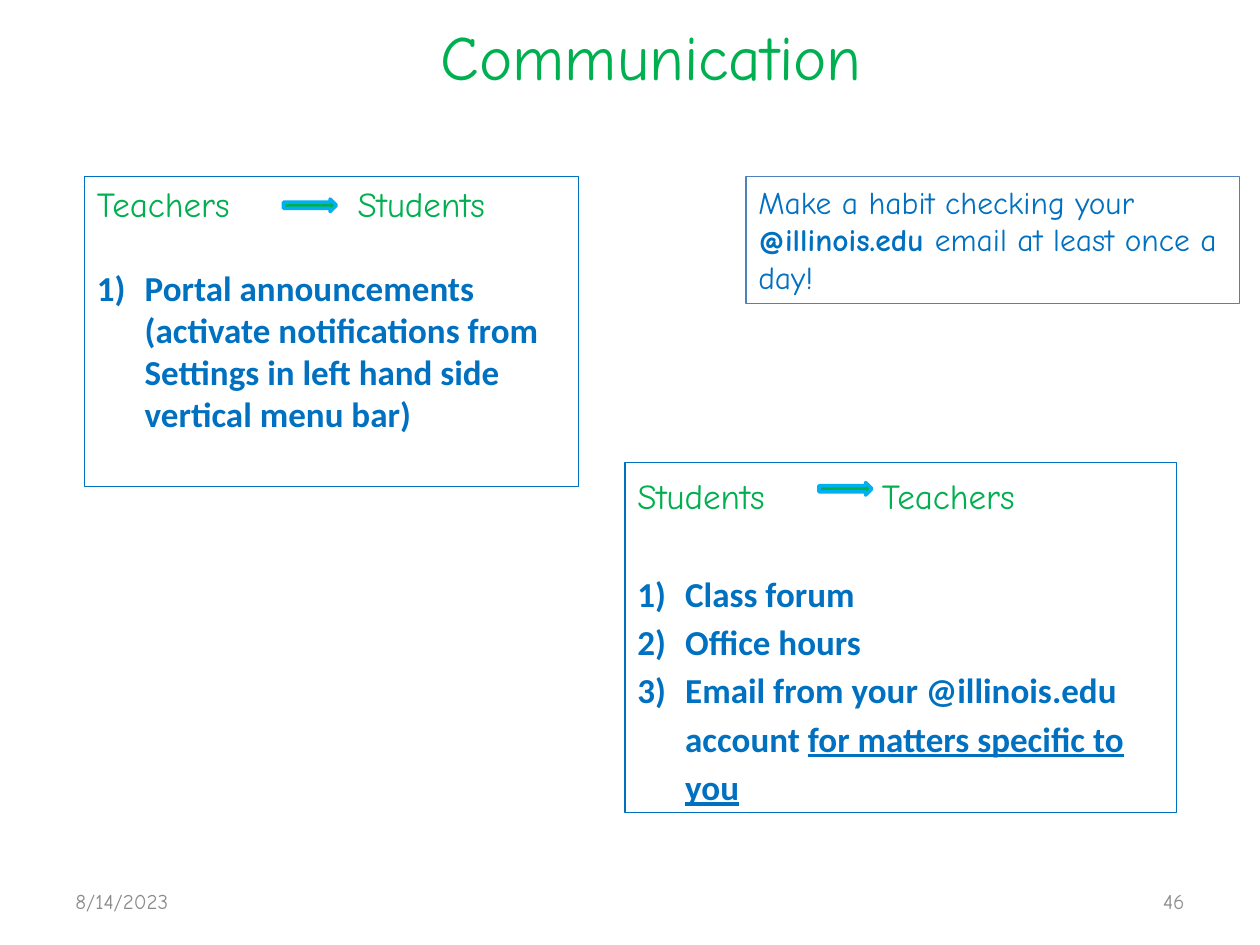
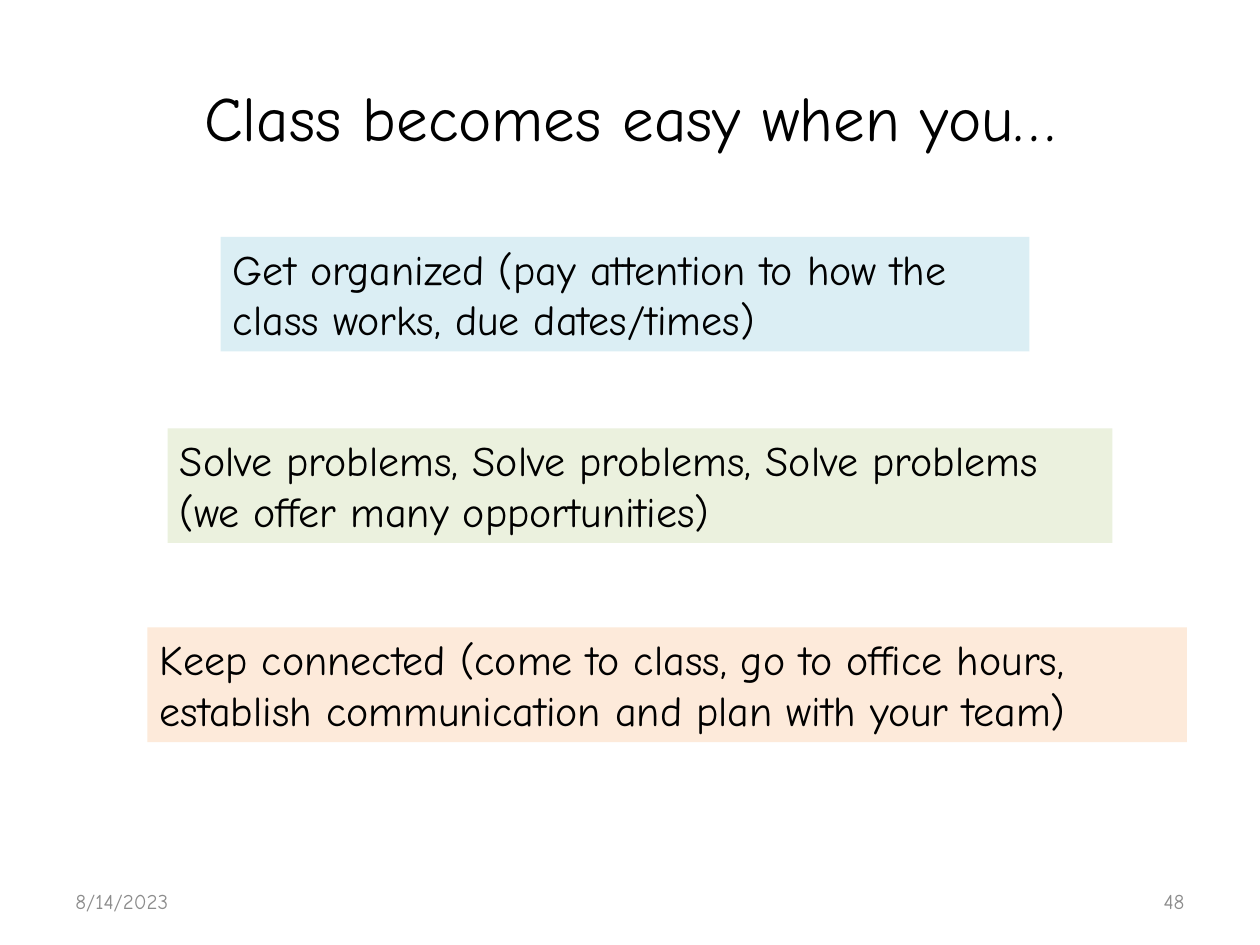
"""Build two course slides: communication channels and habits for an easy class."""
from dataclasses import dataclass
from typing import Optional

from lxml.etree import SubElement
from pptx import Presentation
from pptx.dml.color import RGBColor
from pptx.enum.shapes import MSO_SHAPE as Shape
from pptx.enum.text import MSO_ANCHOR as Anchor, MSO_AUTO_SIZE as AutoSize, PP_ALIGN as Align
from pptx.oxml.ns import qn
from pptx.util import Inches, Pt

COLORS = {
    "green": "00B050",
    "blue": "0070C0",
    "sky": "00B0F0",
    "steel": "4F81BD",
    "gray": "8C8C8C",
    "black": "000000",
    "pale_blue": "DBEEF4",
    "pale_green": "EBF1DE",
    "pale_orange": "FDEADA",
}
HAND, PLAIN = "Comic Neue", "Calibri"
DATE = "8/14/2023"
TITLE_LAYOUT = 5

FORMATS = {
    "heading": {"name": HAND, "size": Pt(20)},
    "item": {"name": PLAIN, "size": Pt(20), "bold": True},
    "underlined": {"name": PLAIN, "size": Pt(20), "bold": True, "underline": True},
    "reminder": {"name": HAND, "size": Pt(18)},
    "strong": {"name": HAND, "size": Pt(18), "bold": True},
    "habit": {"name": HAND, "size": Pt(24)},
    "title": {"name": HAND, "size": Pt(36)},
    "footer": {"name": HAND, "size": Pt(12)},
}


@dataclass(frozen=True)
class Area:
    left: float
    top: float
    width: float
    height: float

    def lengths(self) -> tuple:
        return tuple(Inches(n) for n in (self.left, self.top, self.width, self.height))


@dataclass(frozen=True)
class Span:
    text: str
    format: str
    color: str


@dataclass(frozen=True)
class Channel:
    area: Area
    arrow: Area
    sender: str
    receiver: str
    tab: float
    items: tuple
    line_spacing: float
    list_gap: float


@dataclass(frozen=True)
class Habit:
    area: Area
    fill: str
    text: str


CHANNELS = (
    Channel(
        Area(0.67, 1.4, 3.92, 2.46), Area(2.25, 1.58, 0.42, 0.1),
        "Teachers", "Students", 2.07,
        ((Span("Portal announcements (activate notifications from Settings in "
               "left hand side vertical menu bar)", "item", "blue"),),),
        1.0, 24,
    ),
    Channel(
        Area(4.96, 3.67, 4.38, 2.78), Area(6.5, 3.83, 0.42, 0.1),
        "Students", "Teachers", 1.94,
        (
            (Span("Class forum", "item", "blue"),),
            (Span("Office hours", "item", "blue"),),
            (Span("Email from your @illinois.edu account ", "item", "blue"),
             Span("for matters specific to you", "underlined", "blue")),
        ),
        1.15, 28,
    ),
)
REMINDER = (
    Span("Make a habit checking your ", "reminder", "blue"),
    Span("@illinois.edu ", "strong", "blue"),
    Span("email at least once a day!", "reminder", "blue"),
)
HABITS = (
    Habit(Area(1.75, 1.88, 6.42, 0.91), "pale_blue",
          "Get organized (pay attention to how the class works, due dates/times)"),
    Habit(Area(1.33, 3.4, 7.5, 0.91), "pale_green",
          "Solve problems, Solve problems, Solve problems (we offer many opportunities)"),
    Habit(Area(1.17, 4.98, 8.25, 0.91), "pale_orange",
          "Keep connected (come to class, go to office hours, "
          "establish communication and plan with your team)"),
)


def rgb(color: str) -> RGBColor:
    return RGBColor.from_string(COLORS[color])


def write(para, spans: tuple, align=Align.LEFT) -> None:
    para.alignment = align
    for span in spans:
        run = para.add_run()
        run.text = span.text
        for key, value in FORMATS[span.format].items():
            setattr(run.font, key, value)
        run.font.color.rgb = rgb(span.color)


def set_frame(box, anchor) -> None:
    settings = {"word_wrap": True, "auto_size": AutoSize.NONE, "vertical_anchor": anchor}
    for key, value in settings.items():
        setattr(box.text_frame, key, value)


def add_box(page, area: Area, fill: Optional[str] = None, line: Optional[str] = None,
            kind=Shape.RECTANGLE, weight: float = 0.75):
    box = page.shapes.add_shape(kind, *area.lengths())
    box.shadow.inherit = False
    if fill:
        box.fill.solid()
        box.fill.fore_color.rgb = rgb(fill)
    else:
        box.fill.background()
    if line:
        box.line.color.rgb = rgb(line)
        box.line.width = Pt(weight)
    else:
        box.line.fill.background()
    set_frame(box, Anchor.TOP)
    return box


def add_footer(page, left: float, text: str, align) -> None:
    box = page.shapes.add_textbox(*Area(left, 6.95, 2.33, 0.4).lengths())
    set_frame(box, Anchor.MIDDLE)
    write(box.text_frame.paragraphs[0], (Span(text, "footer", "gray"),), align)


def add_page(deck, title: str, area: Area, color: str, number: int):
    page = deck.slides.add_slide(deck.slide_layouts[TITLE_LAYOUT])
    box = page.shapes.title
    box.left, box.top, box.width, box.height = area.lengths()
    set_frame(box, Anchor.MIDDLE)
    write(box.text_frame.paragraphs[0], (Span(title, "title", color),), Align.CENTER)
    add_footer(page, 0.5, DATE, Align.LEFT)
    add_footer(page, 7.17, str(number), Align.RIGHT)
    return page


def set_tab(para, position: float) -> None:
    tabs = SubElement(para._p.get_or_add_pPr(), qn("a:tabLst"))
    SubElement(tabs, qn("a:tab"), pos=str(Inches(position)), algn="l")


def set_number(para) -> None:
    properties = para._p.get_or_add_pPr()
    properties.set("marL", str(Inches(0.38)))
    properties.set("indent", str(-Inches(0.38)))
    SubElement(properties, qn("a:buFont"), typeface=PLAIN)
    SubElement(properties, qn("a:buAutoNum"), type="arabicParenR")


def add_channel(page, channel: Channel) -> None:
    frame = add_box(page, channel.area, line="blue").text_frame
    heading = frame.paragraphs[0]
    set_tab(heading, channel.tab)
    write(heading, (Span(f"{channel.sender}\t{channel.receiver}", "heading", "green"),))
    for index, spans in enumerate(channel.items):
        para = frame.add_paragraph()
        set_number(para)
        write(para, spans)
        if index == 0:
            para.space_before = Pt(channel.list_gap)
    for para in frame.paragraphs:
        para.line_spacing = channel.line_spacing
    add_box(page, channel.arrow, "green", "sky", Shape.RIGHT_ARROW, 2)


def main() -> None:
    deck = Presentation()
    deck.slide_width, deck.slide_height = Inches(10), Inches(7.5)

    page = add_page(deck, "Communication", Area(0.67, 0.08, 9, 0.72), "green", 46)
    for channel in CHANNELS:
        add_channel(page, channel)
    reminder = add_box(page, Area(5.92, 1.4, 3.92, 1.01), line="steel")
    write(reminder.text_frame.paragraphs[0], REMINDER)

    page = add_page(deck, "Class becomes easy when you…", Area(0.5, 0.3, 9, 1.25), "black", 48)
    for habit in HABITS:
        box = add_box(page, habit.area, fill=habit.fill)
        write(box.text_frame.paragraphs[0], (Span(habit.text, "habit", "black"),))

    deck.save("out.pptx")


if __name__ == "__main__":
    main()
